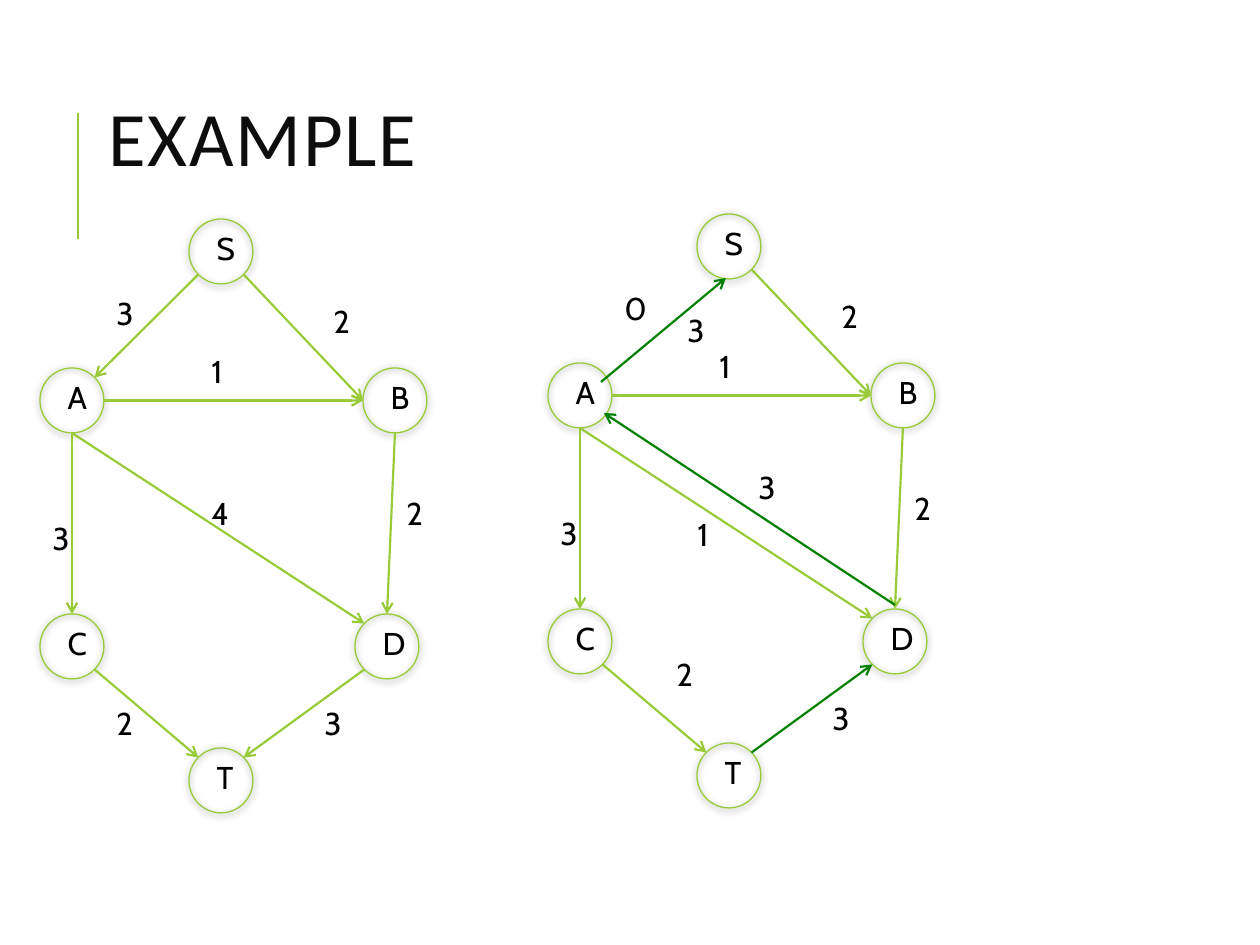
import dataclasses
import math

import pptx
import pptx.dml.color
import pptx.enum.shapes
import pptx.enum.text
import pptx.oxml
import pptx.oxml.ns
import pptx.util

EMU_PER_PX = 914400 // 126


@dataclasses.dataclass(frozen=True)
class Theme:
    accent: str = "99CB38"
    reverse: str = "008000"
    title: str = "0D0D0D"
    text: str = "000000"
    title_font: str = "Calibri"
    text_font: str = "Cabin"
    title_size: int = 44
    text_size: int = 18
    node_line: float = 0.75
    edge_line: float = 1.25
    bar_line: float = 1.5


THEME = Theme()

NODE_SIZE = (64, 65)
NODES = {
    "S": (189, 219),
    "B": (363, 368),
    "D": (355, 614),
    "C": (40, 614),
    "A": (40, 368),
    "T": (189, 748),
}

# Each edge: start node, its compass side, end node, its compass side.
SHARED_EDGES = [
    ("S", "SE", "B", "W"),
    ("A", "E", "B", "W"),
    ("A", "S", "C", "N"),
    ("A", "S", "D", "NW"),
    ("B", "S", "D", "N"),
    ("C", "SE", "T", "NW"),
]
CAPACITY_EDGES = [("S", "SW", "A", "NE"), ("D", "SW", "T", "NE")]
REVERSE_EDGES = [("T", "NE", "D", "SW")]
# Reverse arrows that run beside a forward edge, as start and end points.
REVERSE_ARROWS = [((93, 387), (218, 283)), ((387, 610), (96, 418))]

SHARED_LABELS = [
    ("1", 199, 346), ("2", 321, 296), ("3", 40, 513),
    ("3", 312, 698), ("2", 394, 488),
]
CAPACITY_LABELS = [("3", 104, 288), ("2", 104, 698), ("4", 199, 488)]
RESIDUAL_LABELS = [
    ("0", 104, 288), ("1", 177, 514), ("2", 156, 654),
    ("3", 167, 310), ("3", 238, 467),
]
RESIDUAL_ORIGIN = (508, -5)

COMPASS = ["E", "SE", "S", "SW", "W", "NW", "N", "NE"]


def px(value):
    return pptx.util.Emu(round(value * EMU_PER_PX))


def rgb(color):
    return pptx.dml.color.RGBColor.from_string(color)


def set_effects(shape, content=""):
    """Replace the effects of a shape by the given DrawingML content."""
    properties = shape._element.spPr
    for old in properties.findall(pptx.oxml.ns.qn("a:effectLst")):
        properties.remove(old)
    namespace = pptx.oxml.ns.nsdecls("a")
    properties.append(pptx.oxml.parse_xml(
        f"<a:effectLst {namespace}>{content}</a:effectLst>"))


def write_text(text_frame, text, *, size=THEME.text_size, color=THEME.text,
               font=THEME.text_font, spacing=None, line_spacing=None):
    """Write one paragraph; spacing is the tracking in points."""
    paragraph = text_frame.paragraphs[0]
    paragraph.alignment = pptx.enum.text.PP_ALIGN.LEFT
    paragraph.line_spacing = line_spacing
    run = paragraph.add_run()
    run.text = text
    run.font.size = pptx.util.Pt(size)
    run.font.name = font
    run.font.color.rgb = rgb(color)
    if spacing:
        run._r.get_or_add_rPr().set("spc", str(spacing * 100))


def add_label(shapes, text, left, top, width=43):
    box = shapes.add_textbox(px(left), px(top), px(width), px(51))
    box.text_frame.word_wrap = True
    box.text_frame.auto_size = pptx.enum.text.MSO_AUTO_SIZE.SHAPE_TO_FIT_TEXT
    write_text(box.text_frame, text)


def add_line(shapes, start, end, color=THEME.accent, width=THEME.edge_line,
             arrow=True):
    line = shapes.add_connector(pptx.enum.shapes.MSO_CONNECTOR.STRAIGHT,
                                *map(px, (*start, *end)))
    line.line.color.rgb = rgb(color)
    line.line.width = pptx.util.Pt(width)
    if arrow:
        namespace = pptx.oxml.ns.nsdecls("a")
        line.line._get_or_add_ln().append(pptx.oxml.parse_xml(
            f'<a:tailEnd {namespace} type="arrow"/>'))
    set_effects(line)


def add_node(shapes, name, left, top):
    circle = shapes.add_shape(pptx.enum.shapes.MSO_SHAPE.OVAL,
                              px(left), px(top), *map(px, NODE_SIZE))
    circle.fill.background()
    circle.line.color.rgb = rgb(THEME.accent)
    circle.line.width = pptx.util.Pt(THEME.node_line)
    set_effects(circle,
                '<a:outerShdw blurRad="50800" dist="12700" dir="5400000" '
                'rotWithShape="0"><a:srgbClr val="000000">'
                '<a:alpha val="50000"/></a:srgbClr></a:outerShdw>')
    add_label(shapes, name, left + 21, top + 4, width=19)


def node_side(name, side):
    """Point on the rim of a node at a compass side."""
    angle = COMPASS.index(side) * math.pi / 4
    (left, top), (width, height) = NODES[name], NODE_SIZE
    return (left + width / 2 * (1 + math.cos(angle)),
            top + height / 2 * (1 + math.sin(angle)))


def add_graph(slide, origin, edges, labels, reverse_edges=(),
              reverse_arrows=()):
    shapes = slide.shapes.add_group_shape().shapes

    def place(point):
        return point[0] + origin[0], point[1] + origin[1]

    def connect(start, end, color):
        add_line(shapes, place(start), place(end), color)

    for name, corner in NODES.items():
        add_node(shapes, name, *place(corner))
    for color, group in ((THEME.accent, edges),
                         (THEME.reverse, reverse_edges)):
        for start, start_side, end, end_side in group:
            connect(node_side(start, start_side), node_side(end, end_side),
                    color)
    for start, end in reverse_arrows:
        connect(start, end, THEME.reverse)
    for text, left, top in labels:
        add_label(shapes, text, *place((left, top)))


def add_title(slide, text):
    title = slide.shapes.title
    title.left, title.top, title.width, title.height = map(
        px, (96, 66, 968, 157))
    title.text_frame.vertical_anchor = pptx.enum.text.MSO_ANCHOR.MIDDLE
    write_text(title.text_frame, text, size=THEME.title_size,
               color=THEME.title, font=THEME.title_font, spacing=1,
               line_spacing=0.8)


def main():
    presentation = pptx.Presentation()
    presentation.slide_width = px(1260)
    presentation.slide_height = px(945)
    slide = presentation.slides.add_slide(presentation.slide_layouts[5])
    add_line(slide.shapes, (78, 239), (78, 113), width=THEME.bar_line,
             arrow=False)
    add_title(slide, "EXAMPLE")
    add_graph(slide, (0, 0), SHARED_EDGES + CAPACITY_EDGES,
              SHARED_LABELS + CAPACITY_LABELS)
    add_graph(slide, RESIDUAL_ORIGIN, SHARED_EDGES,
              SHARED_LABELS + RESIDUAL_LABELS, REVERSE_EDGES, REVERSE_ARROWS)
    presentation.save("out.pptx")


if __name__ == "__main__":
    main()
